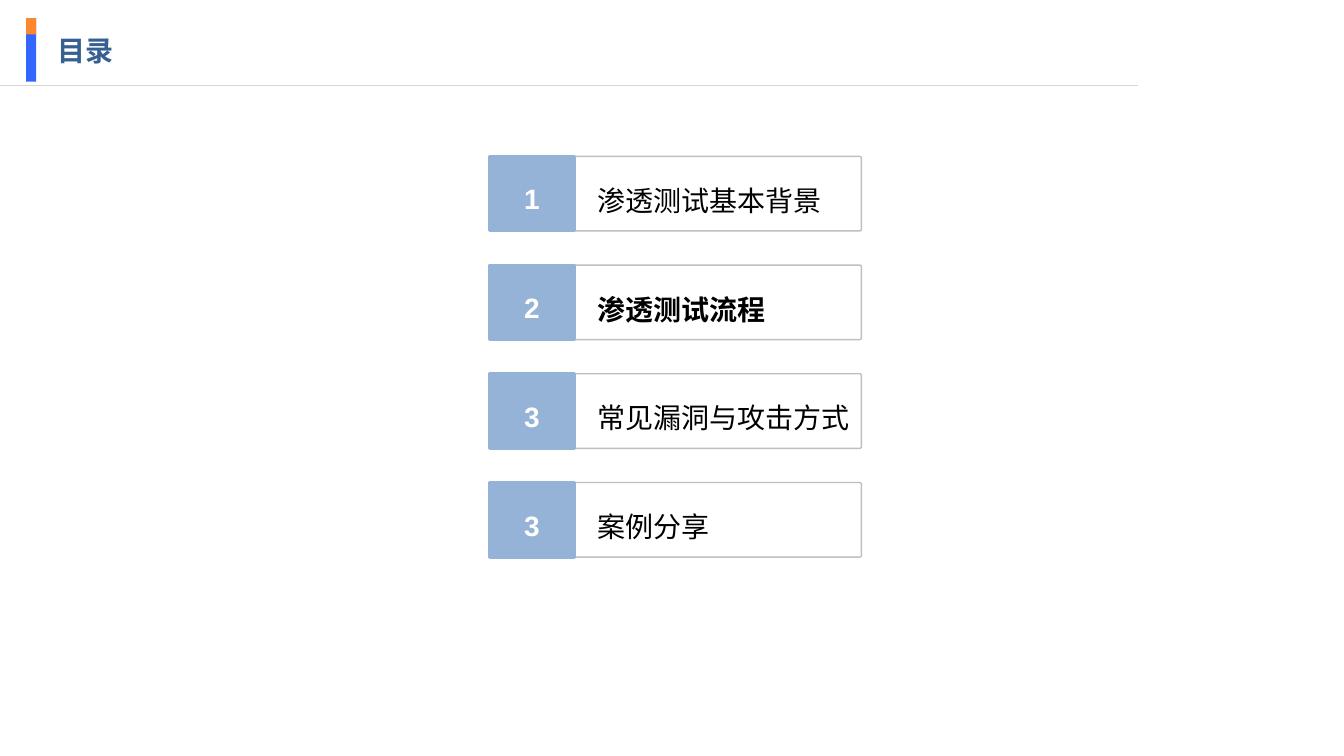
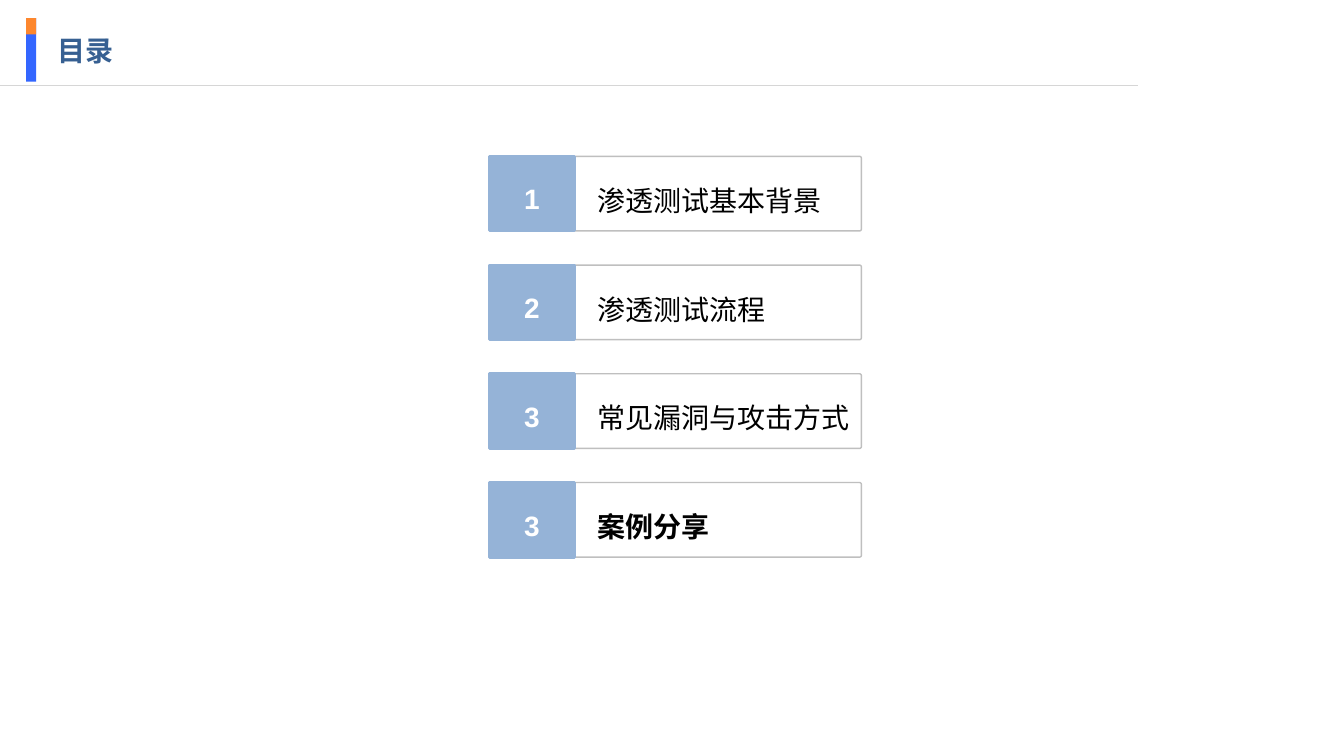
from lxml.etree import SubElement
from pptx import Presentation
from pptx.dml.color import RGBColor
from pptx.enum.shapes import MSO_CONNECTOR, MSO_SHAPE
from pptx.enum.text import MSO_ANCHOR, MSO_AUTO_SIZE, PP_ALIGN
from pptx.oxml.ns import qn
from pptx.util import Cm, Pt

CJK = "Noto Sans CJK SC"
LATIN = "Arial"
BLUE, ORANGE, RULE = "3366FF", "FD872E", "D6D6D6"
TITLE, BADGE, BORDER = "376092", "95B3D7", "BFBFBF"
WHITE, BLACK = "FFFFFF", "000000"

CARD_LEFT, CARD_TOP, CARD_PITCH = 12.34, 3.94, 2.74
CARD_WIDTH, CARD_HEIGHT, BADGE_WIDTH = 9.37, 1.88, 2.13
LABEL_LEFT, LABEL_DROP, LABEL_HEIGHT = 14.81, 0.3, 1.27

AGENDA = [
    ("1", "渗透测试基本背景", 6.91),
    ("2", "渗透测试流程", 5.28),
    ("3", "常见漏洞与攻击方式", 7.67),
    ("3", "案例分享", 6.6),
]
HIGHLIGHTS = ["渗透测试流程", "案例分享"]


def rgb(value):
    return RGBColor.from_string(value)


def style(p, font, color, bold=False):
    p.font.size = Pt(20)
    p.font.bold = bold
    p.font.color.rgb = rgb(color)
    p.font.name = font
    props = p._p.get_or_add_pPr().get_or_add_defRPr()
    SubElement(props, qn("a:ea")).set("typeface", font)


def add_box(s, kind, left, top, width, height, fill=None, line=None, weight=1):
    sp = s.shapes.add_shape(kind, Cm(left), Cm(top), Cm(width), Cm(height))
    sp.shadow.inherit = False
    if fill:
        sp.fill.solid()
        sp.fill.fore_color.rgb = rgb(fill)
    else:
        sp.fill.background()
    if line:
        sp.line.color.rgb = rgb(line)
        sp.line.width = Pt(weight)
    else:
        sp.line.fill.background()
    return sp


def add_rule(s, top, width):
    line = s.shapes.add_connector(
        MSO_CONNECTOR.STRAIGHT, Cm(0), Cm(top), Cm(width), Cm(top))
    line.line.color.rgb = rgb(RULE)
    line.line.width = Pt(1)
    SubElement(line.element.spPr, qn("a:effectLst"))
    return line


def decorate_layout(layout, s):
    header = [
        add_box(s, MSO_SHAPE.RECTANGLE, 0.66, 0.46, 0.25, 1.6, BLUE),
        add_box(s, MSO_SHAPE.RECTANGLE, 0.66, 0.46, 0.25, 0.41, ORANGE),
        add_rule(s, 2.16, 28.68),
    ]
    for number, sp in enumerate(header, 101):
        sp.element.xpath(".//p:cNvPr")[0].set("id", str(number))
        layout.shapes.element.append(sp.element)


def add_title(s, text):
    sp = s.shapes.title
    sp.left, sp.top, sp.width, sp.height = Cm(1.19), Cm(0.46), Cm(21.59), Cm(1.63)
    tf = sp.text_frame
    tf.text = text
    tf.auto_size = MSO_AUTO_SIZE.NONE
    tf.vertical_anchor = MSO_ANCHOR.MIDDLE
    p = tf.paragraphs[0]
    p.alignment = PP_ALIGN.LEFT
    style(p, CJK, TITLE, bold=True)


def add_badge(s, top, number):
    sp = add_box(s, MSO_SHAPE.RECTANGLE, CARD_LEFT, top, BADGE_WIDTH,
                 CARD_HEIGHT, BADGE, BADGE, 2)
    tf = sp.text_frame
    tf.text = number
    tf.vertical_anchor = MSO_ANCHOR.MIDDLE
    p = tf.paragraphs[0]
    p.alignment = PP_ALIGN.CENTER
    p.line_spacing = 1.3
    style(p, LATIN, WHITE, bold=True)


def add_label(s, top, text, width, bold):
    sp = s.shapes.add_textbox(
        Cm(LABEL_LEFT), Cm(top + LABEL_DROP), Cm(width), Cm(LABEL_HEIGHT))
    tf = sp.text_frame
    tf.text = text
    tf.word_wrap = True
    tf.auto_size = MSO_AUTO_SIZE.SHAPE_TO_FIT_TEXT
    p = tf.paragraphs[0]
    p.line_spacing = 1.3
    p.space_after = Pt(3)
    style(p, CJK, BLACK, bold)


def add_agenda(s, highlight):
    for row, (number, text, width) in enumerate(AGENDA):
        top = CARD_TOP + row * CARD_PITCH
        card = add_box(s, MSO_SHAPE.ROUNDED_RECTANGLE, CARD_LEFT, top,
                       CARD_WIDTH, CARD_HEIGHT, line=BORDER)
        card.adjustments[0] = 0.025
        add_badge(s, top, number)
        add_label(s, top, text, width, text == highlight)


def main():
    prs = Presentation()
    prs.slide_width, prs.slide_height = Cm(33.87), Cm(19.05)
    layout = prs.slide_layouts.get_by_name("Title Only")
    slides = [prs.slides.add_slide(layout) for _ in HIGHLIGHTS]
    decorate_layout(layout, slides[0])
    for s, highlight in zip(slides, HIGHLIGHTS):
        add_title(s, "目录")
        add_agenda(s, highlight)
    prs.save("out.pptx")


if __name__ == "__main__":
    main()
